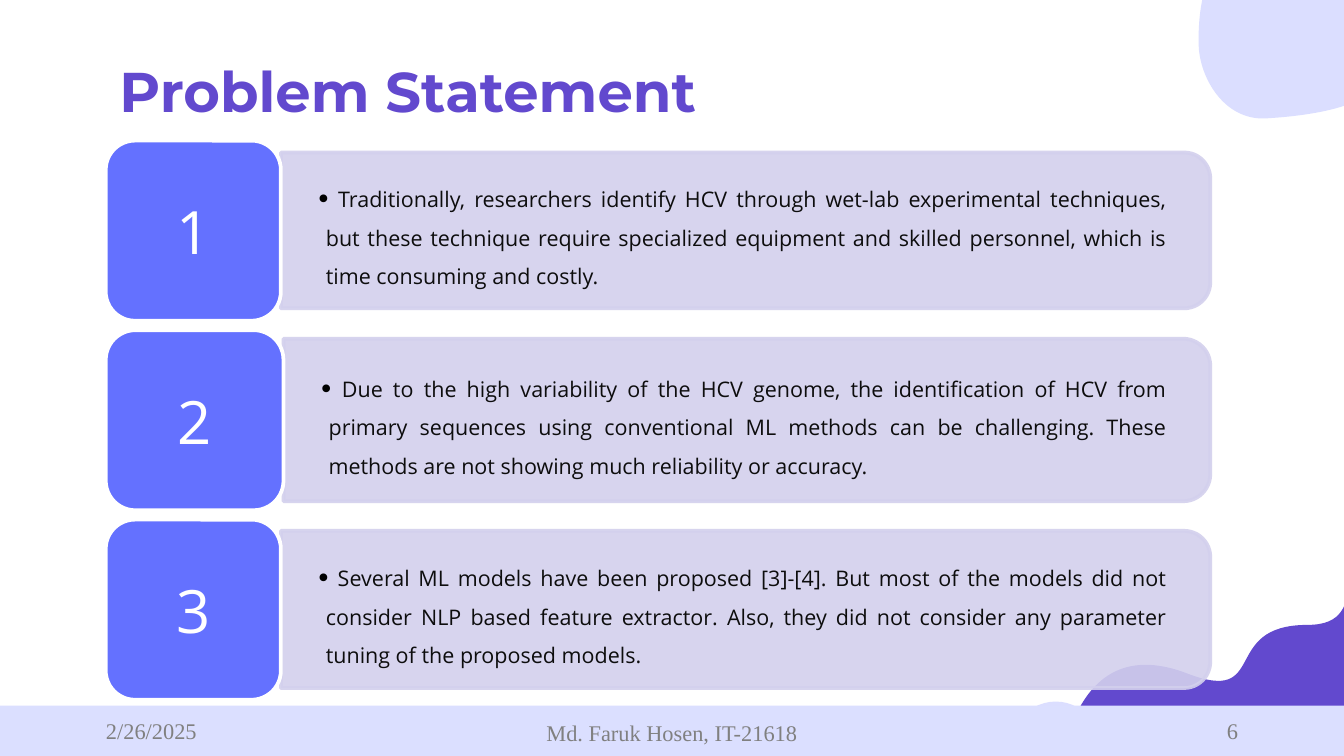
import pptx
import pptx.util
import pptx.dml.color
import pptx.enum.shapes
import pptx.enum.text
import lxml.etree

RGB = pptx.dml.color.RGBColor
GRAPE = RGB(0x62, 0x49, 0xCE)
BLUE = RGB(0x64, 0x71, 0xFF)
LILAC = RGB(0xD3, 0xD0, 0xED)
PALE = RGB(0xDB, 0xDE, 0xFF)
BAND = RGB(0xDB, 0xDF, 0xFF)
WHITE = RGB(0xFF, 0xFF, 0xFF)
INK = RGB(0x0D, 0x0D, 0x0D)
BLACK = RGB(0, 0, 0)
GRAY = RGB(0x80, 0x80, 0x80)
KIND = pptx.enum.shapes.MSO_SHAPE
ALIGN = pptx.enum.text.PP_ALIGN
MIDDLE = pptx.enum.text.MSO_ANCHOR.MIDDLE
TOP = pptx.enum.text.MSO_ANCHOR.TOP
NS = "{http://schemas.openxmlformats.org/drawingml/2006/main}"

deck = pptx.Presentation()
deck.slide_width = pptx.util.Inches(10)
deck.slide_height = pptx.util.Inches(5.625)
slide = deck.slides.add_slide(deck.slide_layouts[6])
col = deck.slide_width / 100
row = deck.slide_height / 56.25


def draw(kind, spot, fill, edge=None):
    x, y, w, h = spot
    shape = slide.shapes.add_shape(
        kind, round(x * col), round(y * row), round(w * col), round(h * row))
    shape.shadow.inherit = False
    shape.fill.solid()
    shape.fill.fore_color.rgb = fill
    if edge is None:
        shape.line.fill.background()
    else:
        shape.line.color.rgb = edge
        shape.line.width = pptx.util.Pt(2)
    return shape


def note(text, spot, pads, anchor, align, face, size, color, bold=False):
    x, y, w, h = spot
    box = slide.shapes.add_textbox(
        round(x * col), round(y * row), round(w * col), round(h * row))
    frame = box.text_frame
    side, edge = round(pads[0] * col), round(pads[1] * row)
    form = {"word_wrap": True, "vertical_anchor": anchor,
            "margin_left": side, "margin_right": side,
            "margin_top": edge, "margin_bottom": edge}
    for key, value in form.items():
        setattr(frame, key, value)
    para = frame.paragraphs[0]
    para.alignment = align
    run = para.add_run()
    run.text = text
    form = {"name": face, "size": pptx.util.Pt(size), "bold": bold}
    for key, value in form.items():
        setattr(run.font, key, value)
    run.font.color.rgb = color
    return para


hill = [(104.9, 60.2),
        (78.6, 60.2), (78.6, 60.2), (78.6, 60.2),
        (78.6, 60.2), (78.6, 46.4), (88.3, 50.1),
        (94.5, 52.5), (90.7, 46.5), (97.3, 46.5),
        (102.7, 46.5), (97.9, 40.2), (104.9, 40.2)]
cloud = [(95.6, -4.3),
         (94.5, -4.4), (93.4, -4.4), (92.4, -4),
         (91.6, -3.7), (91.1, -3.4), (90.5, -2.6),
         (89.5, -1.2), (89.1, 1.1), (89.2, 3.6),
         (89.4, 6.1), (91.3, 9.1), (94.4, 8.8),
         (97.5, 8.6), (101.3, 8), (102.4, 6.4),
         (104.6, 3.2), (101.5, -2), (99.5, -3.1),
         (98.2, -3.7), (96.9, -4), (95.6, -4.3)]
for knots, fill in ((hill, GRAPE), (cloud, PALE)):
    dots = [(round(x * col), round(y * row)) for x, y in knots]
    pen = slide.shapes.build_freeform(*dots[0])
    pen.add_line_segments(dots[1:], close=True)
    blob = pen.convert_to_shape()
    lines = list(blob.element.spPr.iter(NS + "lnTo"))[:len(dots) - 1]
    for start in range(0, len(lines), 3):
        trio = lines[start:start + 3]
        curve = lxml.etree.Element(NS + "cubicBezTo")
        trio[0].addprevious(curve)
        for line in trio:
            curve.append(line[0])
            line.getparent().remove(line)
    blob.shadow.inherit = False
    blob.fill.solid()
    blob.fill.fore_color.rgb = fill
    blob.line.fill.background()

draw(KIND.OVAL, (75.3, 52.2, 6.5, 6.5), PALE)
note("Problem Statement", (7.9, 3.2, 84.3, 6.3), (1, 1), TOP, ALIGN.LEFT,
     "Montserrat", 30, GRAPE, True)

cards = [
    (20.9, 11.35, 11.6, " Traditionally, researchers identify HCV through wet-lab "
     "experimental techniques, but these technique require specialized equipment "
     "and skilled personnel, which is time consuming and costly."),
    (21.1, 25.2, 12.1, " Due to the high variability of the HCV genome, the "
     "identification of HCV from primary sequences using conventional ML methods "
     "can be challenging. These methods are not showing much reliability or accuracy."),
    (20.9, 39.5, 11.7, " Several ML models have been proposed [3]-[4]. But most of "
     "the models did not consider NLP based feature extractor. Also, they did not "
     "consider any parameter tuning of the proposed models."),
]
LEFT, RIGHT, PITCH = 7.87, 90.05, 14.1
for index, (left, top, tall, text) in enumerate(cards):
    wide = RIGHT - left
    midx, midy = left + wide / 2, top + tall / 2
    card = draw(KIND.ROUND_2_SAME_RECTANGLE,
                (midx - tall / 2, midy - wide / 2, tall, wide), LILAC, LILAC)
    card.rotation = 90
    for tint in card.element.spPr.iter(NS + "srgbClr"):
        lxml.etree.SubElement(tint, NS + "alpha", val="90000")

    para = note(text, (left + 0.05, top + 0.65, wide - 0.6, tall - 1.2),
                (2.7, 1.4), MIDDLE, ALIGN.JUSTIFY, "Open Sans", 11.5, INK)
    para.level = 1
    para.line_spacing = 1.5
    props = para._p.get_or_add_pPr()
    props.set("marL", str(round(0.6 * col)))
    props.set("indent", str(round(-0.6 * col)))
    tint = lxml.etree.SubElement(props, NS + "buClr")
    lxml.etree.SubElement(tint, NS + "srgbClr", val=str(BLACK))
    lxml.etree.SubElement(props, NS + "buSzPct", val="150000")
    lxml.etree.SubElement(props, NS + "buFont", typeface="Times New Roman")
    lxml.etree.SubElement(props, NS + "buChar", char="•")

    tile = LEFT + 2.6 + index * PITCH
    draw(KIND.ROUNDED_RECTANGLE, (LEFT, tile, left - LEFT, 13.4), BLUE, WHITE)
    note(str(index + 1), (LEFT + 0.6, tile + 0.65, left - LEFT - 1.2, 12.1),
         (1.3, 0.7), MIDDLE, ALIGN.CENTER, "Open Sans", 32, WHITE)

draw(KIND.RECTANGLE, (0, 52.5, 100, 3.75), BAND)
for text, spot, align in (
        ("2/26/2025", (6.9, 52.85, 22.5, 3), ALIGN.LEFT),
        ("Md. Faruk Hosen, IT-21618", (33.1, 52.8, 33.8, 3.4), ALIGN.CENTER),
        ("6", (70.6, 52.5, 22.5, 3.75), ALIGN.RIGHT)):
    note(text, spot, (1, 0.5), MIDDLE, align, "Times New Roman", 12, GRAY)

deck.save("out.pptx")
